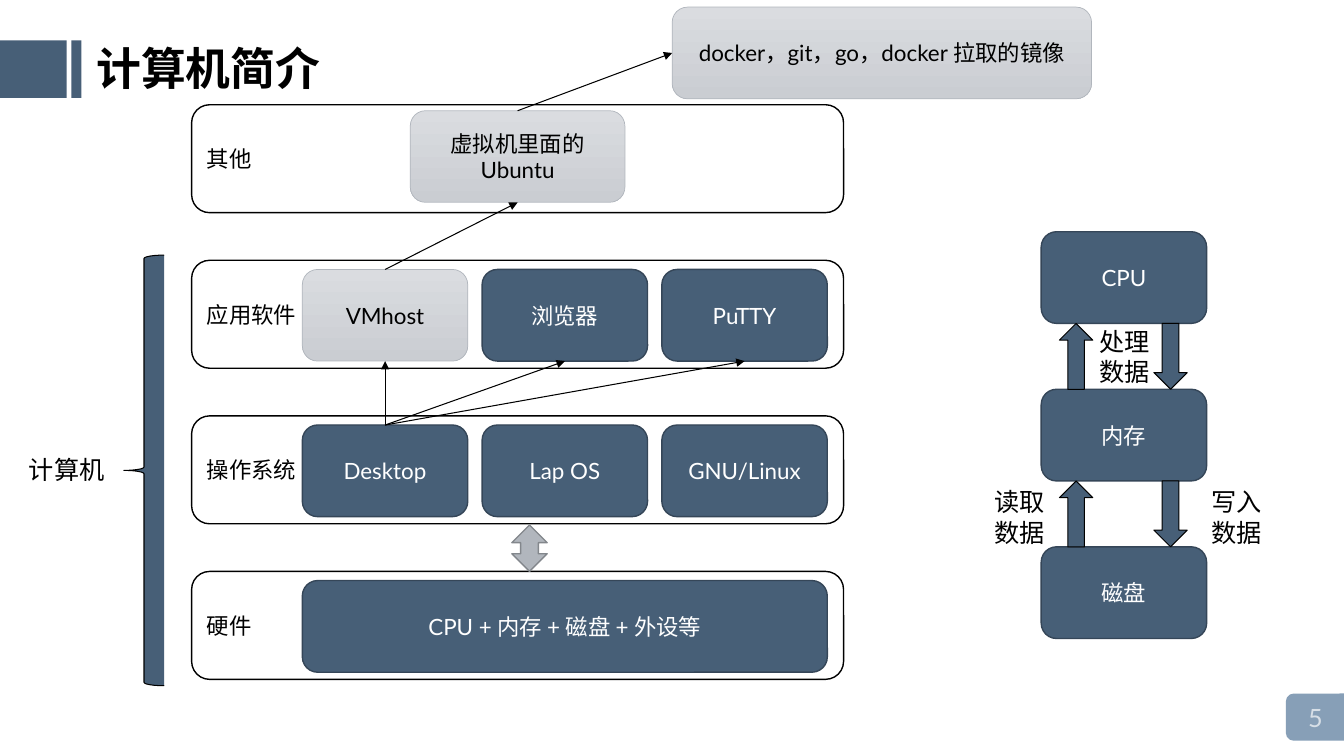
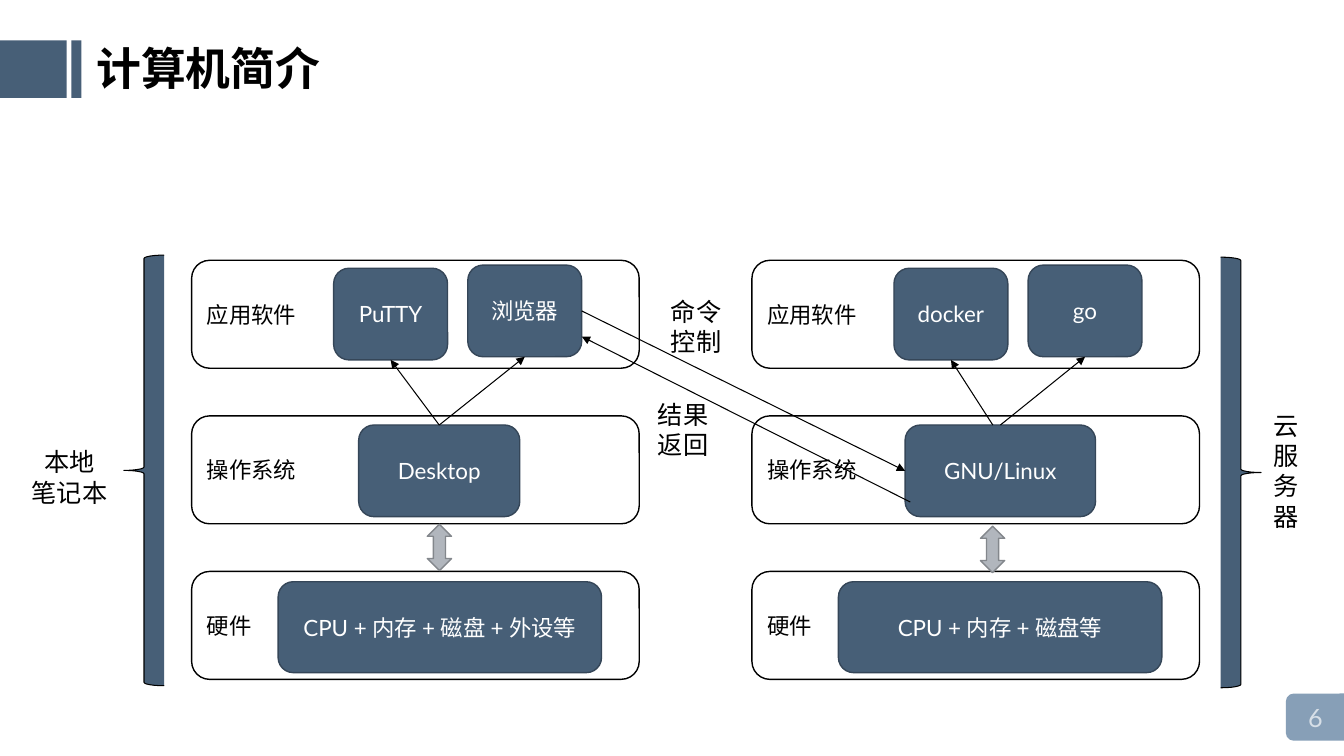
from lxml.etree import SubElement
from pptx import Presentation
from pptx.dml.color import RGBColor
from pptx.enum.shapes import MSO_CONNECTOR, MSO_SHAPE
from pptx.enum.text import MSO_ANCHOR, PP_ALIGN
from pptx.oxml.ns import qn
from pptx.util import Cm, Pt

FONT = "Lato"
NAVY, NAVY_EDGE = "475F77", "354658"
GREY, GREY_EDGE = "B1B6BD", "83878C"
PALE_TOP, PALE_BOTTOM = "DADCE0", "CACDD2"
TAB, TAB_TEXT = "879FB7", "D7DFE7"
BLACK, WHITE = "000000", "FFFFFF"

LAYER_LEFT, LAYER_HEIGHT = 4.83, 2.72
OTHER_TOP, APPS_TOP, SYSTEM_TOP, HARDWARE_TOP = (2.64 + 3.92 * i for i in range(4))
LAYERS = (("应用软件", APPS_TOP), ("操作系统", SYSTEM_TOP), ("硬件", HARDWARE_TOP))
BOX_WIDTH, BOX_HEIGHT, BOX_INSET = 4.17, 2.31, 0.23
TOP, LEFT, BOTTOM, RIGHT = range(4)


def color(value):
    return RGBColor.from_string(value)


def write(frame, text, size, ink, align=PP_ALIGN.LEFT, bold=False):
    frame.text = text
    for paragraph in frame.paragraphs:
        paragraph.alignment = align
        for run in paragraph.runs:
            run.font.name = FONT
            run.font.size = Pt(size)
            run.font.bold = bold
            run.font.color.rgb = color(ink)


def add_figure(slide, kind, x, y, w, h, fill, edge=None, weight=1.0, turn=0):
    figure = slide.shapes.add_shape(kind, Cm(x), Cm(y), Cm(w), Cm(h))
    figure.shadow.inherit = False
    figure.rotation = turn
    figure.fill.solid()
    figure.fill.fore_color.rgb = color(fill)
    if edge:
        figure.line.color.rgb = color(edge)
        figure.line.width = Pt(weight)
    else:
        figure.line.fill.background()
    return figure


def add_box(slide, text, x, y, w, h=BOX_HEIGHT, fill=NAVY, edge=NAVY_EDGE,
            ink=WHITE, align=PP_ALIGN.CENTER, weight=1.0):
    box = add_figure(slide, MSO_SHAPE.ROUNDED_RECTANGLE, x, y, w, h, fill, edge, weight)
    box.text_frame.word_wrap = True
    box.text_frame.vertical_anchor = MSO_ANCHOR.MIDDLE
    write(box.text_frame, text, 16, ink, align)
    return box


def add_pale_box(slide, text, x, y, w):
    box = add_box(slide, text, x, y, w, edge=GREY, ink=BLACK, weight=0.5)
    box.fill.gradient()
    box.fill.gradient_angle = 270
    for stop, shade in zip(box.fill.gradient_stops, (PALE_TOP, PALE_BOTTOM)):
        stop.color.rgb = color(shade)
    return box


def add_layers(slide, layers, left, width):
    for text, top in layers:
        add_box(slide, text, left, top, width, LAYER_HEIGHT, WHITE, BLACK,
                BLACK, PP_ALIGN.LEFT)


def add_label(slide, text, x, y, w, h, size=18, ink=BLACK, wrap=False,
              align=PP_ALIGN.LEFT, bold=False):
    label = slide.shapes.add_textbox(Cm(x), Cm(y), Cm(w), Cm(h))
    label.text_frame.word_wrap = wrap
    write(label.text_frame, text, size, ink, align, bold)


def add_link(slide, start, end):
    link = slide.shapes.add_connector(MSO_CONNECTOR.STRAIGHT, 0, 0, 0, 0)
    if isinstance(start[0], float):
        link.begin_x, link.begin_y = Cm(start[0]), Cm(start[1])
    else:
        link.begin_connect(*start)
    if isinstance(end[0], float):
        link.end_x, link.end_y = Cm(end[0]), Cm(end[1])
    else:
        link.end_connect(*end)
    link.line.color.rgb = color(BLACK)
    link.line.width = Pt(0.75)
    SubElement(link.line._get_or_add_ln(), qn("a:tailEnd"), type="triangle")
    SubElement(link._element.spPr, qn("a:effectLst"))


def add_brace(slide, x, y, turn=0):
    add_figure(slide, MSO_SHAPE.LEFT_BRACE, x, y, 1.02, 10.85, NAVY, BLACK, 0.75, turn)


def add_exchange(slide, x, y, w):
    add_figure(slide, MSO_SHAPE.UP_DOWN_ARROW, x, y, w, 1.17, GREY, GREY_EDGE)


def add_page(deck, number):
    slide = deck.slides.add_slide(deck.slide_layouts[6])
    add_figure(slide, MSO_SHAPE.ROUND_2_SAME_RECTANGLE, 32.56, 17.32, 1.19, 1.5, TAB, turn=270)
    for x, w in ((0, 1.68), (1.8, 0.25)):
        add_figure(slide, MSO_SHAPE.RECTANGLE, x, 1.02, w, 1.45, NAVY)
    add_label(slide, str(number), 32.72, 17.58, 0.84, 1.02, ink=TAB_TEXT)
    add_label(slide, "计算机简介", 2.18, 0.91, 6.22, 1.63, size=32, bold=True)
    return slide


def add_data_flow(slide):
    left, first, pitch = 26.24, 5.84, 3.97
    for i, part in enumerate(("CPU", "内存", "磁盘")):
        add_box(slide, part, left, first + i * pitch, BOX_WIDTH)
    for i in range(2):
        gap_top = first + BOX_HEIGHT + i * pitch
        for kind, x in ((MSO_SHAPE.UP_ARROW, 26.7), (MSO_SHAPE.DOWN_ARROW, 29.08)):
            add_figure(slide, kind, x, gap_top, 0.84, 1.66, NAVY, BLACK, 0.75)
    for text, x, y in (("读取数据", 24.82, 12.14), ("写入数据", 30.28, 12.14),
                       ("处理数据", 27.46, 8.1)):
        add_label(slide, text, x, y, 1.8, 1.8, wrap=True)


def build_computer(deck):
    slide = add_page(deck, 5)
    add_layers(slide, (("其他", OTHER_TOP),) + LAYERS, LAYER_LEFT, 16.43)
    columns = [7.62 + 4.53 * i for i in range(3)]
    system_y, apps_y = SYSTEM_TOP + BOX_INSET, APPS_TOP + BOX_INSET

    desktop, _, _ = [add_box(slide, name, x, system_y, BOX_WIDTH)
                     for name, x in zip(("Desktop", "Lap OS", "GNU/Linux"), columns)]
    virtual_host = add_pale_box(slide, "VMhost", columns[0], apps_y, BOX_WIDTH)
    browser, putty = [add_box(slide, name, x, apps_y, BOX_WIDTH)
                      for name, x in zip(("浏览器", "PuTTY"), columns[1:])]
    add_box(slide, "CPU + 内存 + 磁盘 + 外设等", columns[0],
            HARDWARE_TOP + BOX_INSET, 13.23)
    add_exchange(slide, 12.9, 13.23, 0.89)

    ubuntu = add_pale_box(slide, "虚拟机里面的Ubuntu", 10.34, 2.79, 5.41)
    tools = add_pale_box(slide, "docker，git，go，docker 拉取的镜像", 16.94, 0.18, 10.57)
    for app in (virtual_host, browser, putty):
        add_link(slide, (desktop, TOP), (app, BOTTOM))
    add_link(slide, (virtual_host, TOP), (ubuntu, BOTTOM))
    add_link(slide, (ubuntu, TOP), (tools, LEFT))

    add_brace(slide, 3.12, 6.43)
    add_label(slide, "计算机", 0.48, 11.33, 2.44, 1.02)
    add_data_flow(slide)


def add_machine(slide, left, apps, system, system_x, system_width, hardware):
    add_layers(slide, LAYERS, left, 11.28)
    first_app = add_box(slide, apps[0], left + 3.58, 6.76, 2.87)
    second_app = add_box(slide, apps[1], left + 6.96, 6.68, 2.87)
    system_box = add_box(slide, system, system_x, 10.71, system_width)
    add_box(slide, hardware, left + 2.18, 14.66, 8.15, 2.29)
    return first_app, second_app, system_box


def build_remote_control(deck):
    slide = add_page(deck, 6)
    putty, browser, desktop = add_machine(
        slide, LAYER_LEFT, ("PuTTY", "浏览器"), "Desktop", 9.04, 4.06,
        "CPU + 内存 + 磁盘 + 外设等")
    docker, go, linux = add_machine(
        slide, 18.95, ("docker", "go"), "GNU/Linux", 22.81, 4.8,
        "CPU + 内存 + 磁盘等")
    add_exchange(slide, 10.77, 13.21, 0.61)
    add_exchange(slide, 24.71, 13.26, 0.61)

    for start, end in (
        ((desktop, TOP), (putty, BOTTOM)),
        ((desktop, TOP), (browser, BOTTOM)),
        ((25.02, 10.71), (docker, BOTTOM)),
        ((linux, TOP), (go, BOTTOM)),
        ((browser, RIGHT), (linux, LEFT)),
        ((22.94, 12.65), (14.66, 8.48)),
    ):
        add_link(slide, start, end)

    add_label(slide, "命令\n控制", 16.66, 7.34, 1.8, 1.8)
    add_label(slide, "结果\n返回", 16.33, 9.93, 1.8, 1.8)
    add_brace(slide, 3.12, 6.43)
    add_label(slide, "本地\n笔记本", 0.53, 11.13, 2.44, 1.8, align=PP_ALIGN.CENTER)
    add_brace(slide, 30.76, 6.48, turn=180)
    add_label(slide, "云服务\n器", 31.85, 10.21, 1.02, 3.33, wrap=True)


def main():
    deck = Presentation()
    deck.slide_width, deck.slide_height = Cm(33.87), Cm(19.05)
    build_computer(deck)
    build_remote_control(deck)
    deck.save("out.pptx")


if __name__ == "__main__":
    main()
